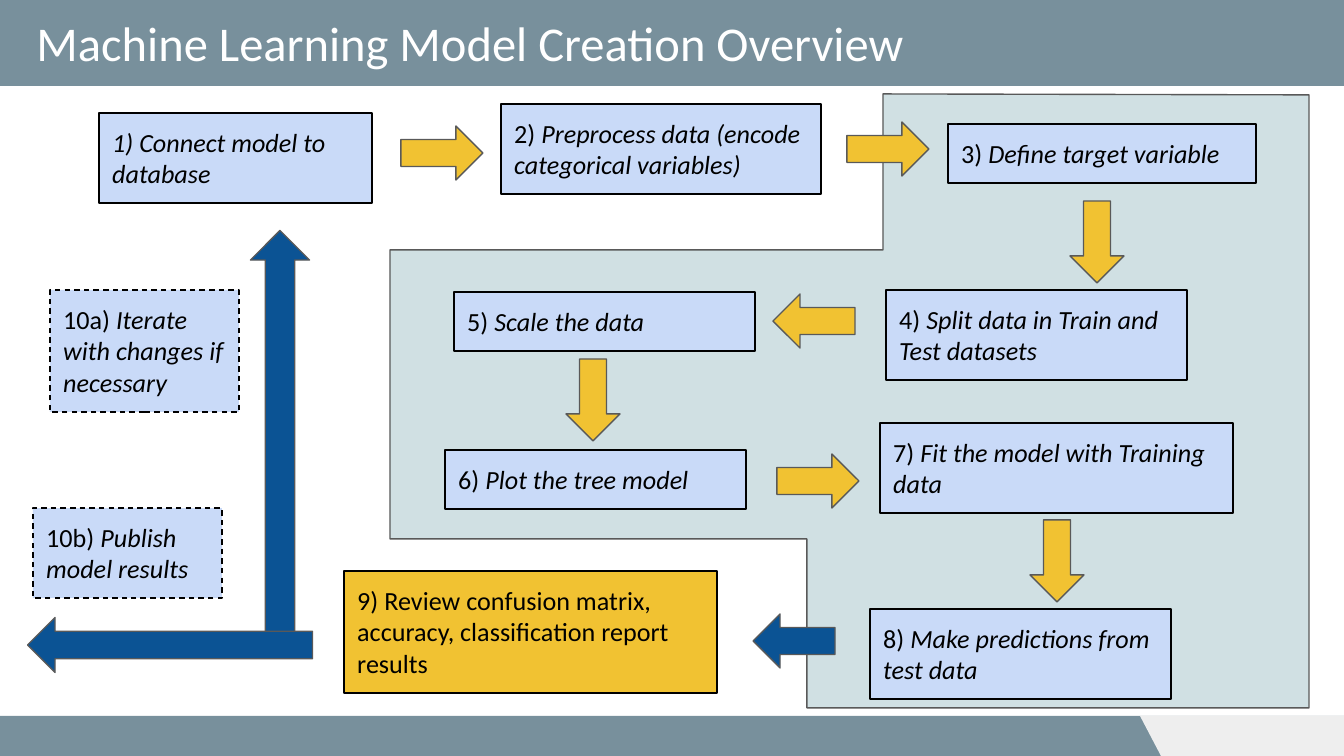
from dataclasses import dataclass

from pptx import Presentation
from pptx.dml.color import RGBColor
from pptx.enum.dml import MSO_LINE
from pptx.enum.shapes import MSO_SHAPE
from pptx.enum.text import MSO_ANCHOR, MSO_AUTO_SIZE, PP_ALIGN
from pptx.util import Pt

EMU_PER_PX = 914400 / 134.4
SLIDE_W, SLIDE_H = 1344, 756
HEADER_H, FOOTER_TOP = 86, 716
TITLE_ONLY = 5
RECT, ARROW = MSO_SHAPE.RECTANGLE, MSO_SHAPE.RIGHT_ARROW
DASH = MSO_LINE.DASH
LEFT, TOP, MIDDLE = PP_ALIGN.LEFT, MSO_ANCHOR.TOP, MSO_ANCHOR.MIDDLE
GROW, NO_FIT = MSO_AUTO_SIZE.SHAPE_TO_FIT_TEXT, MSO_AUTO_SIZE.NONE
RIGHTWARD, DOWN, LEFTWARD, UP = 0, 90, 180, 270


@dataclass(frozen=True)
class Theme:
    font: str = "Calibri"
    title_size: int = 26
    body_size: int = 14
    line_width: float = 0.75
    band: str = "78909C"
    corner: str = "EEEEEE"
    panel: str = "D0E0E3"
    step: str = "C9DAF8"
    yellow: str = "F1C232"
    blue: str = "0B5394"
    outline: str = "595959"
    black: str = "000000"
    white: str = "FFFFFF"


THEME = Theme()

BOX_HEIGHTS = {1: 59, 2: 90, 3: 122}  # by number of text lines

# left, top, width, text lines, upright text, italic text
STEPS = [
    (99, 113, 273, 2, "", "1) Connect model to database"),
    (501, 104, 320, 2, "2) ", "Preprocess data (encode categorical variables)"),
    (948, 124, 308, 1, "3) ", "Define target variable"),
    (886, 290, 301, 2, "4) ", "Split data in Train and Test datasets"),
    (454, 292, 301, 1, "5) ", "Scale the data"),
    (445, 450, 301, 1, "6) ", "Plot the tree model"),
    (880, 423, 353, 2, "7) ", "Fit the model with Training data"),
    (870, 609, 301, 2, "8) ", "Make predictions from test data"),
]
OUTCOMES = [
    (50, 290, 189, 3, "10a) ", "Iterate with changes if necessary"),
    (33, 508, 189, 2, "10b) ", "Publish model results"),
]
REVIEW = (344, 571, 373, 3,
          "9) Review confusion matrix, accuracy, classification report results", "")

# centre x, centre y, direction
STEP_ARROWS = [
    (442, 153, RIGHTWARD),
    (888, 149, RIGHTWARD),
    (1097, 242, DOWN),
    (814, 321, LEFTWARD),
    (593, 400, DOWN),
    (818, 481, RIGHTWARD),
    (1057, 561, DOWN),
]
ARROW_SIZE = (82, 54)

PANEL = [(883, 94), (883, 250), (390, 250), (390, 539),
         (807, 539), (807, 708), (1309, 708), (1309, 95)]
CORNER = [(SLIDE_W, SLIDE_H), (1161, SLIDE_H), (1140, FOOTER_TOP), (SLIDE_W, FOOTER_TOP)]


def px(*values):
    return [round(v * EMU_PER_PX) for v in values]


def rgb(color):
    return RGBColor.from_string(color)


def paint(sp, fill, line=None):
    sp.shadow.inherit = False
    sp.fill.solid()
    sp.fill.fore_color.rgb = rgb(fill)
    if line:
        sp.line.color.rgb = rgb(line)
        sp.line.width = Pt(THEME.line_width)
    else:
        sp.line.fill.background()


def set_font(p, size, color):
    p.alignment = LEFT
    p.font.name = THEME.font
    p.font.size = Pt(size)
    p.font.color.rgb = rgb(color)


def set_frame(tf, anchor, auto_size):
    tf.word_wrap = True
    tf.vertical_anchor = anchor
    tf.auto_size = auto_size
    inset = px(13.44)[0]
    tf.margin_left = tf.margin_right = tf.margin_top = tf.margin_bottom = inset


def add_polygon(s, points, fill, line=None):
    builder = s.shapes.build_freeform(*points[0], scale=EMU_PER_PX)
    builder.add_line_segments(points[1:], close=True)
    paint(builder.convert_to_shape(), fill, line)


def add_band(s, top, height):
    paint(s.shapes.add_shape(RECT, *px(0, top, SLIDE_W, height)), THEME.band)


def add_title(s, text):
    sp = s.shapes.title
    sp.left, sp.top, sp.width, sp.height = px(23, -1, 1146, HEADER_H)
    s.shapes.element.append(sp.element)  # in front of the header band
    tf = sp.text_frame
    set_frame(tf, MIDDLE, NO_FIT)
    tf.text = text
    set_font(tf.paragraphs[0], THEME.title_size, THEME.white)


def add_box(s, box, fill, dash=None):
    left, top, width, lines, upright, italic = box
    sp = s.shapes.add_shape(RECT, *px(left, top, width, BOX_HEIGHTS[lines]))
    paint(sp, fill, THEME.black)
    if dash:
        sp.line.dash_style = dash
    set_frame(sp.text_frame, TOP, GROW)
    p = sp.text_frame.paragraphs[0]
    set_font(p, THEME.body_size, THEME.black)
    for text, slanted in ((upright, False), (italic, True)):
        if text:
            r = p.add_run()
            r.text = text
            r.font.italic = slanted


def add_arrow(s, x, y, direction, fill, size=ARROW_SIZE):
    """Block arrow centred on x, y; size is its length and thickness."""
    length, thickness = size
    sp = s.shapes.add_shape(
        ARROW, *px(x - length / 2, y - thickness / 2, length, thickness))
    sp.rotation = direction
    paint(sp, fill, THEME.outline)


def main():
    prs = Presentation()
    prs.slide_width, prs.slide_height = px(SLIDE_W, SLIDE_H)
    s = prs.slides.add_slide(prs.slide_layouts[TITLE_ONLY])

    add_polygon(s, PANEL, THEME.panel, THEME.outline)
    add_band(s, 0, HEADER_H)
    add_band(s, FOOTER_TOP, SLIDE_H - FOOTER_TOP)
    add_polygon(s, CORNER, THEME.corner)
    add_title(s, "Machine Learning Model Creation Overview")

    for box in STEPS:
        add_box(s, box, THEME.step)
    add_box(s, REVIEW, THEME.yellow)
    for arrow in STEP_ARROWS:
        add_arrow(s, *arrow, THEME.yellow)
    add_arrow(s, 794, 641, LEFTWARD, THEME.blue)
    add_arrow(s, 280, 442, UP, THEME.blue, (423, 59))
    for box in OUTCOMES:
        add_box(s, box, THEME.step, DASH)
    add_arrow(s, 170, 645, LEFTWARD, THEME.blue, (285, 55))

    prs.save("out.pptx")


if __name__ == "__main__":
    main()
